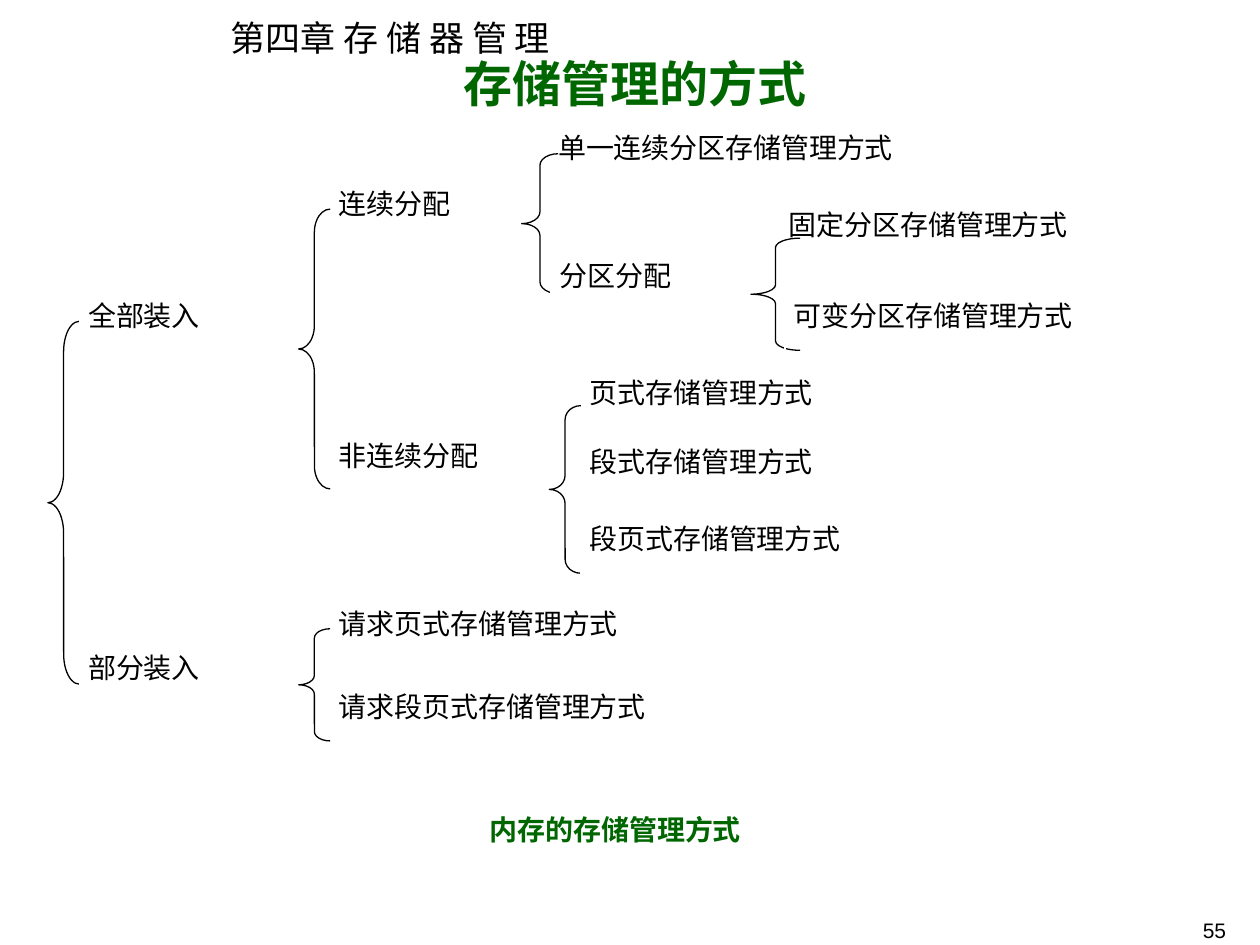
from lxml import etree
from pptx import Presentation
from pptx.dml.color import RGBColor as RGB
from pptx.enum.shapes import MSO_SHAPE as Kind
from pptx.enum.text import MSO_ANCHOR as Anchor, PP_ALIGN as Align
from pptx.oxml.ns import qn
from pptx.util import Inches, Pt

theme = {
    "ink": RGB(0, 0, 0), "green": RGB(0, 0x66, 0), "paper": RGB(255, 255, 255),
    "serif": "Times New Roman", "sans": "Arial", "han": "Noto Sans CJK SC",
    "title": 28, "head": 20, "body": 16, "page": 12, "line": 0.75,
}

deck = Presentation()
deck.slide_width, deck.slide_height = Inches(10), Inches(7.5)
slide = deck.slides.add_slide(deck.slide_layouts[6])
unit = deck.slide_width / 100


def grid(*cells):
    return [round(cell * unit) for cell in cells]


def write(shape, text, size, face, tint="ink", bold=False, align=Align.LEFT, pad=(1, 0.5)):
    frame = shape.text_frame
    frame.word_wrap = True
    frame.vertical_anchor = Anchor.TOP
    frame.margin_left, frame.margin_top = grid(*pad)
    frame.margin_right, frame.margin_bottom = grid(*pad)
    frame.text = text
    para = frame.paragraphs[0]
    para.alignment = align
    font = para.runs[0].font
    font.size, font.bold, font.name = Pt(theme[size]), bold, theme[face]
    font.color.rgb = theme[tint]
    east = etree.SubElement(para.runs[0]._r.get_or_add_rPr(), qn("a:ea"))
    east.set("typeface", theme["han"])
    return frame


head = slide.shapes.add_textbox(*grid(17.3, 0.8, 28, 4.4))
write(head, "第四章 存 储 器 管 理", "head", "han").word_wrap = False
page = slide.shapes.add_textbox(*grid(75, 72.3, 23.3, 2.7))
write(page, "55", "page", "sans", align=Align.RIGHT)
title = slide.shapes.add_textbox(*grid(5.4, 3.5, 90, 6.2))
write(title, "存储管理的方式", "title", "serif", "green", True, Align.CENTER).vertical_anchor = Anchor.MIDDLE

BRACE = ""
tall = 6.6
parts = [
    (BRACE, 3.8, 25.5, 2.5, 28.8),
    ("全部装入", 6.3, 23.3, 17.4, tall),
    ("部分装入", 6.3, 51.2, 17.4, tall),
    ("连续分配", 26.2, 14.4, 17.4, tall),
    ("非连续分配", 26.2, 34.4, 21.2, tall),
    ("请求页式存储管理方式", 26.2, 47.7, 34.9, tall),
    ("请求段页式存储管理方式", 26.2, 54.3, 37.3, tall),
    (BRACE, 23.7, 16.6, 2.5, 22.2),
    ("单一连续分区存储管理方式", 43.6, 10, 39.8, tall),
    (BRACE, 41.4, 12.2, 2.9, 11.1),
    ("固定分区存储管理方式", 61.9, 16.1, 34.8, tall),
    ("分区分配", 43.7, 20.1, 17.4, tall),
    (BRACE, 59.6, 18.9, 3.9, 8.9),
    ("可变分区存储管理方式", 62.3, 23.3, 32.4, tall),
    ("页式存储管理方式", 46.1, 29.4, 29.9, tall),
    (BRACE, 43.6, 32.2, 2.5, 13.3),
    ("段式存储管理方式", 46.1, 34.9, 29.9, tall),
    ("段页式存储管理方式", 46.1, 41, 32.4, tall),
    (BRACE, 23.7, 49.9, 2.5, 8.9),
    ("内存的存储管理方式", 16.8, 64, 64.1, 9),
]

tree = slide.shapes.add_group_shape().shapes
for text, *box in parts:
    kind = Kind.RECTANGLE if text else Kind.LEFT_BRACE
    shape = tree.add_shape(kind, *grid(*box))
    shape.shadow.inherit = False
    shape.line.width = Pt(theme["line"])
    shape.line.color.rgb = theme["paper" if text else "ink"]
    if text == BRACE:
        shape.fill.background()
        shape.adjustments[0] = box[3] / box[2] / 12
        continue
    if text.startswith("可变"):
        shape.fill.background()
    else:
        shape.fill.solid()
        shape.fill.fore_color.rgb = theme["paper"]
    if text.startswith("内存"):
        write(shape, text, "body", "serif", "green", True, Align.CENTER)
    else:
        write(shape, text, "body", "serif", align=Align.JUSTIFY, pad=(0.7, 0.4))

deck.save("out.pptx")
